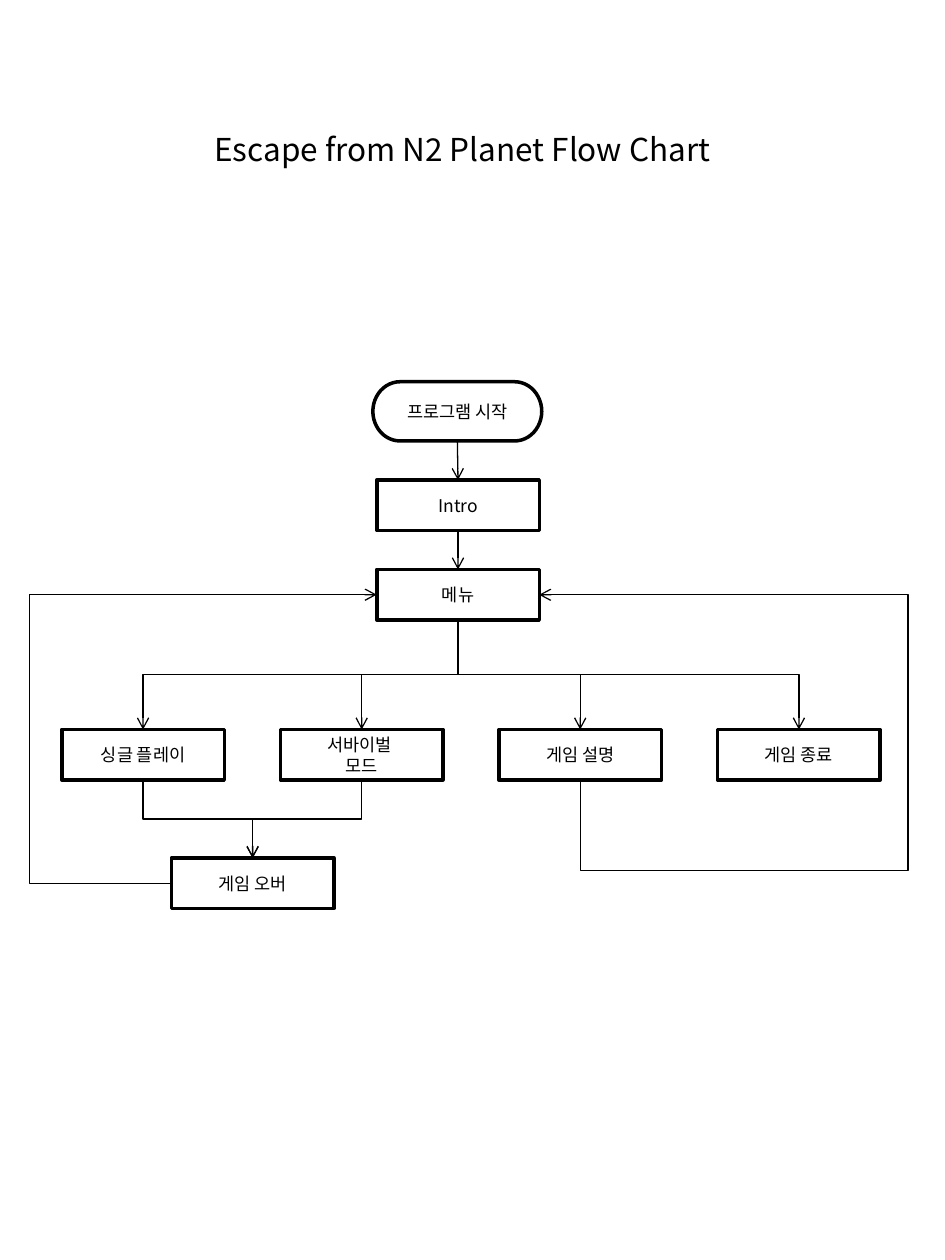
"""Build the game flow chart slide."""
from lxml.etree import SubElement as Sub
from pptx import Presentation
from pptx.dml.color import RGBColor
from pptx.enum.shapes import MSO_CONNECTOR as Conn, MSO_SHAPE as Geo
from pptx.enum.text import MSO_ANCHOR as Anchor, PP_ALIGN as Align
from pptx.oxml.ns import qn
from pptx.util import Inches, Pt

BLACK, FONT = "000000", "Noto Sans CJK KR"
TOP, LEFT, BOTTOM, RIGHT = range(4)
WIDE, HIGH = 1.29, 0.4


def style(frame, size):
    for para in frame.paragraphs:
        para.alignment = Align.CENTER
        for run in para.runs:
            run.font.size = Pt(size)
            run.font.name = FONT
            run.font.color.rgb = RGBColor.from_string(BLACK)
            for tag in ("a:ea", "a:cs"):
                Sub(run.font._element, qn(tag), typeface=FONT)


def link(start, out, end, into, kind="bentConnector3", adj=()):
    line = slide.shapes.add_connector(Conn.ELBOW, 0, 0, 0, 0)
    line.begin_connect(start, out)
    line.end_connect(end, into)
    props = line._element.spPr
    props.prstGeom.set("prst", kind)
    if kind != "straightConnector1" and out == BOTTOM:
        mid_x, mid_y = line.left + line.width // 2, line.top + line.height // 2
        right = line.end_x > line.begin_x
        wide, high = line.height, line.width
        line.left, line.top = mid_x - wide // 2, mid_y - high // 2
        line.width, line.height = wide, high
        frame = props.find(qn("a:xfrm"))
        for key in ("flipH", "flipV"):
            frame.attrib.pop(key, None)
        frame.set("rot", "16200000" if right else "5400000")
        if right or into == RIGHT:
            frame.set("flipH", "1")
    guides = props.prstGeom.get_or_add_avLst()
    for num, val in enumerate(adj, 1):
        Sub(guides, qn("a:gd"), name=f"adj{num}", fmla=f"val {round(val * 100000)}")
    line.line.width = Pt(0.75)
    line.line.color.rgb = RGBColor.from_string(BLACK)
    Sub(props.find(qn("a:ln")), qn("a:tailEnd"), type="arrow")
    Sub(props, qn("a:effectLst"))


deck = Presentation()
deck.slide_width, deck.slide_height = Inches(7.5), Inches(10)
slide = deck.slides.add_slide(deck.slide_layouts[5])

title = slide.shapes.title
title.left, title.top, title.width, title.height = map(Inches, (1.15, 0.98, 5.04, 0.4))
title.text_frame.text = "Escape from N2 Planet Flow Chart"
title.text_frame.vertical_anchor = Anchor.TOP
style(title.text_frame, 18)

steps = [("프로그램 시작", 2.96, 3.03, 1.34, 0.47),
         ("Intro", 2.99, 3.81, WIDE, HIGH),
         ("메뉴", 2.99, 4.52, WIDE, HIGH)]
modes = ["싱글 플레이", "서바이벌 \n모드", "게임 설명", "게임 종료"]
steps += [(text, 0.49 + 1.735 * col, 5.79, WIDE, HIGH) for col, text in enumerate(modes)]
steps.append(("게임 오버", 1.36, 6.81, WIDE, HIGH))

boxes = []
for text, *place in steps:
    geo = Geo.FLOWCHART_PROCESS if boxes else Geo.FLOWCHART_TERMINATOR
    box = slide.shapes.add_shape(geo, *map(Inches, place))
    box.shadow.inherit = False
    box.fill.background()
    box.line.color.rgb = RGBColor.from_string(BLACK)
    box.line.width = Pt(2)
    box.text_frame.text = text
    box.text_frame.vertical_anchor = Anchor.MIDDLE
    style(box.text_frame, 10)
    boxes.append(box)

start, intro, menu, single, survive, guide, leave, over = boxes
for here, there in ((start, intro), (intro, menu)):
    link(here, BOTTOM, there, TOP, "straightConnector1")
for mode in (single, survive, guide, leave):
    link(menu, BOTTOM, mode, TOP)
for mode in (single, survive):
    link(mode, BOTTOM, over, TOP)
link(over, LEFT, menu, LEFT, adj=[-0.69])
link(guide, BOTTOM, menu, RIGHT, "bentConnector4", [-0.49, -8])

deck.save("out.pptx")
